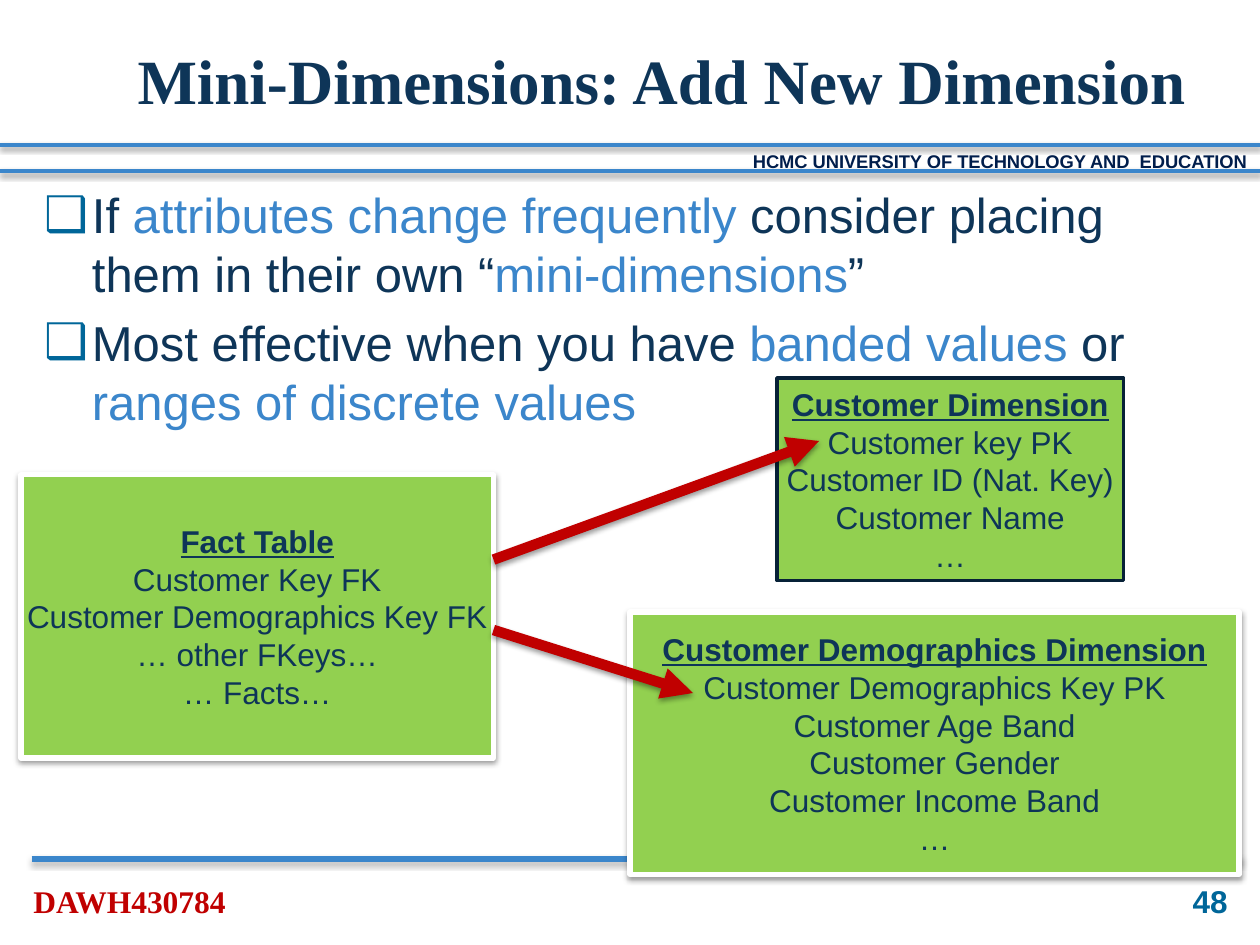
from lxml.etree import SubElement
from pptx import Presentation
from pptx.dml.color import RGBColor
from pptx.enum.shapes import MSO_CONNECTOR, MSO_SHAPE
from pptx.enum.text import MSO_ANCHOR, MSO_AUTO_SIZE, PP_ALIGN
from pptx.oxml.ns import qn
from pptx.util import Inches, Pt

COLS, ROWS = 120, 90
WIDTH, HEIGHT = Inches(10), Inches(7.5)

WHITE = RGBColor(0xFF, 0xFF, 0xFF)
BLACK = RGBColor(0, 0, 0)
NAVY = RGBColor(0x0E, 0x35, 0x58)
DARK = RGBColor(0x07, 0x21, 0x37)
BLUE = RGBColor(0x3B, 0x86, 0xCB)
TEAL = RGBColor(0x00, 0x66, 0x99)
INK = RGBColor(0x00, 0x1D, 0x4B)
RED = RGBColor(0xC0, 0x00, 0x00)
GREEN = RGBColor(0x92, 0xD0, 0x50)

SANS, SERIF = "Arial", "Times New Roman"

POINTS = [
    [("If ", NAVY), ("attributes change frequently ", BLUE),
     ("consider placing them in their own “", NAVY),
     ("mini-dimensions", BLUE), ("”", NAVY)],
    [("Most effective when you have ", NAVY), ("banded values ", BLUE),
     ("or ", NAVY), ("ranges of discrete values", BLUE)],
]
FACT = ["Fact Table", "Customer Key FK", "Customer Demographics Key FK",
        "… other FKeys…", "… Facts…"]
CUSTOMER = ["Customer Dimension", "Customer key PK", "Customer ID (Nat. Key)",
            "Customer Name", "…"]
BANDS = ["Customer Demographics Dimension", "Customer Demographics Key PK",
         "Customer Age Band", "Customer Gender", "Customer Income Band", "…"]


def grid(x, y):
    """Turn a column and a row into slide lengths."""
    return round(WIDTH * x / COLS), round(HEIGHT * y / ROWS)


def area(x, y, w, h):
    return *grid(x, y), *grid(w, h)


def put(shape, box):
    shape.left, shape.top, shape.width, shape.height = area(*box)


def write(para, text, size, color, font=SANS, bold=False, under=False):
    run = para.add_run()
    run.text = text
    face = run.font
    face.name, face.size = font, Pt(size)
    face.bold, face.underline = bold, under
    face.color.rgb = color


def shade(shape, alpha=38, dist=1.6):
    """Give a shape a soft shadow below, or none when alpha is 0."""
    effects = SubElement(shape._element.spPr, qn("a:effectLst"))
    if alpha:
        outer = SubElement(effects, qn("a:outerShdw"), blurRad=str(Pt(3.1)),
                           dist=str(Pt(dist)), dir=str(90 * 60000),
                           rotWithShape="0")
        color = SubElement(outer, qn("a:srgbClr"), val=str(BLACK))
        SubElement(color, qn("a:alpha"), val=str(alpha * 1000))


def line(slide, start, end, color, width, **shadow):
    link = slide.shapes.add_connector(
        MSO_CONNECTOR.STRAIGHT, *grid(*start), *grid(*end))
    link.line.color.rgb, link.line.width = color, Pt(width)
    shade(link, **shadow)
    return link


def arrow(slide, start, end):
    link = line(slide, start, end, RED, 6)
    SubElement(link.line._get_or_add_ln(), qn("a:tailEnd"), type="triangle")


def label(slide, box, text, size, color, font=SANS, align=PP_ALIGN.LEFT):
    frame = slide.shapes.add_textbox(*area(*box)).text_frame
    frame.word_wrap = True
    para = frame.paragraphs[0]
    para.alignment = align
    write(para, text, size, color, font, bold=True)
    return frame


def entity(slide, box, rows, edge=WHITE, width=3, alpha=38):
    """Draw a data table as a box: an underlined name, then its fields."""
    shape = slide.shapes.add_shape(MSO_SHAPE.RECTANGLE, *area(*box))
    shape.fill.solid()
    shape.fill.fore_color.rgb = GREEN
    shape.line.color.rgb, shape.line.width = edge, Pt(width)
    shade(shape, alpha)
    frame = shape.text_frame
    frame.word_wrap = False
    frame.vertical_anchor = MSO_ANCHOR.MIDDLE
    for i, text in enumerate(rows):
        para = frame.add_paragraph() if i else frame.paragraphs[0]
        para.alignment = PP_ALIGN.CENTER
        write(para, text, 18, NAVY, bold=i == 0, under=i == 0)


def bullet(para):
    props = para._p.get_or_add_pPr()
    indent = Inches(0.38)
    props.set("marL", str(indent))
    props.set("indent", str(-indent))
    color = SubElement(props, qn("a:buClr"))
    SubElement(color, qn("a:srgbClr"), val=str(TEAL))
    SubElement(props, qn("a:buFont"), typeface=SANS)
    SubElement(props, qn("a:buChar"), char="❑")


def heading(slide, text):
    title = slide.shapes.title
    put(title, (11.9, 4.4, 108.1, 6.4))
    frame = title.text_frame
    frame.auto_size = MSO_AUTO_SIZE.NONE
    frame.vertical_anchor = MSO_ANCHOR.MIDDLE
    para = frame.paragraphs[0]
    para.alignment = PP_ALIGN.LEFT
    write(para, text, 36, NAVY, SERIF, bold=True)


def points(slide, items):
    body = slide.placeholders[1]
    put(body, (3, 17, 114, 27))
    frame = body.text_frame
    frame.auto_size = MSO_AUTO_SIZE.NONE
    for i, parts in enumerate(items):
        para = frame.add_paragraph() if i else frame.paragraphs[0]
        bullet(para)
        para.space_before = Pt(5.6 if i else 0)
        for text, color in parts:
            write(para, text, 28, color)


def frame_page(slide):
    """Draw the rules, the header and the footer."""
    line(slide, (0, 13.8), (COLS, 13.8), BLUE, 2)
    line(slide, (0, 16.3), (COLS, 16.3), BLUE, 2)
    line(slide, (3, 81.8), (118.2, 81.8), BLUE, 3, alpha=35, dist=1.8)
    head = label(slide, (20.2, 14.3, 99.8, 2.6),
                 "HCMC UNIVERSITY OF TECHNOLOGY AND  EDUCATION",
                 10.5, INK, align=PP_ALIGN.RIGHT)
    head.margin_left = head.margin_top = 0
    label(slide, (2, 83.4, 24, 4.8), "DAWH430784", 18, RED, SERIF)
    number = label(slide, (90.1, 83.4, 28, 4.8), "48", 18, TEAL,
                   align=PP_ALIGN.RIGHT)
    number.vertical_anchor = MSO_ANCHOR.MIDDLE


def main():
    deck = Presentation()
    deck.slide_width, deck.slide_height = WIDTH, HEIGHT
    slide = deck.slides.add_slide(deck.slide_layouts[1])
    frame_page(slide)
    heading(slide, "Mini-Dimensions: Add New Dimension")
    points(slide, POINTS)
    entity(slide, (2, 45.2, 45, 27), FACT)
    entity(slide, (74, 36, 33, 19.3), CUSTOMER, DARK, 2, alpha=0)
    arrow(slide, (47, 53.3), (78, 42))
    entity(slide, (60, 58.3, 58, 25), BANDS)
    arrow(slide, (47, 60), (66, 66))
    deck.save("out.pptx")


if __name__ == "__main__":
    main()
